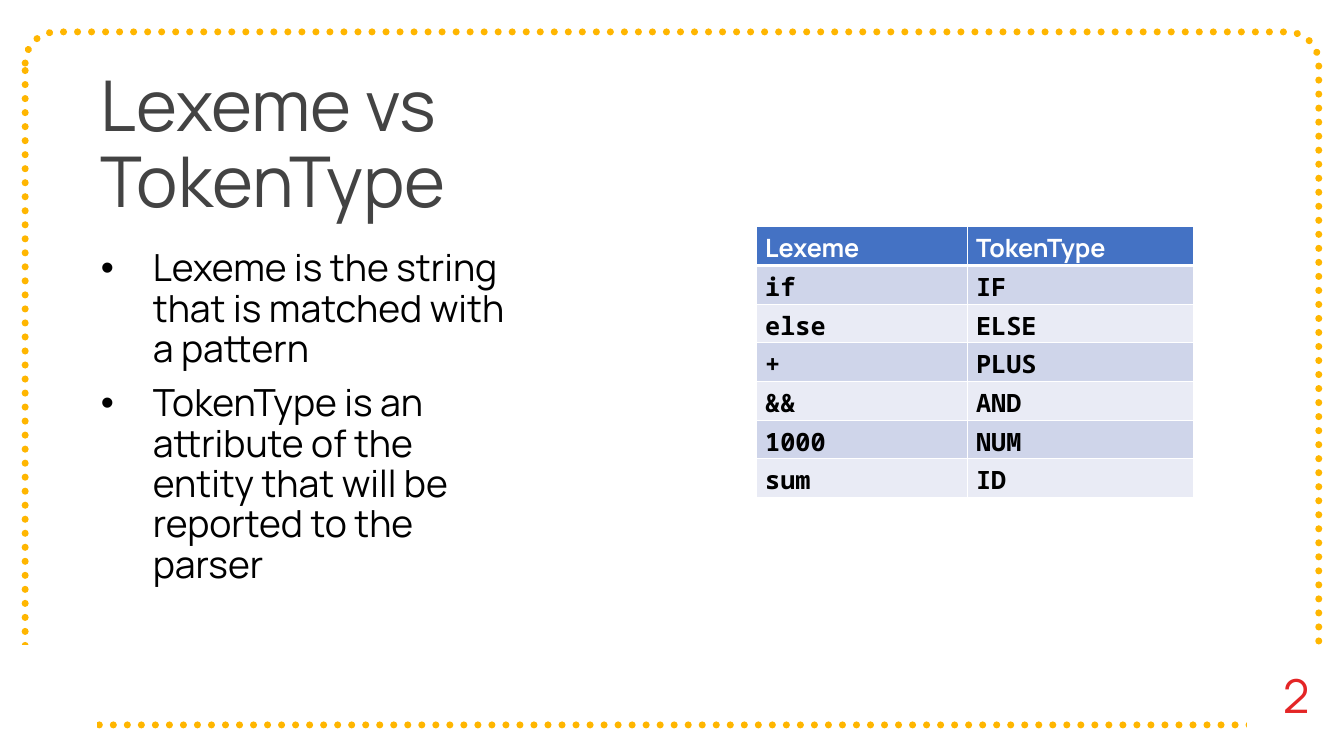
from dataclasses import dataclass

from lxml import etree
from pptx import Presentation
from pptx import util as u
from pptx.dml.color import RGBColor
from pptx.enum import dml, shapes, text
from pptx.oxml import ns


@dataclass(frozen=True)
class Theme:
    sans: str = "Manrope"
    mono: str = "Noto Sans Mono"
    title: str = "434343"
    ink: str = "000000"
    white: str = "FFFFFF"
    frame: str = "FFB600"
    number: str = "E42526"
    header: str = "4472C4"
    bands: tuple = ("CFD5EA", "E9EBF5")
    title_size: float = 60
    body_size: float = 32
    number_size: float = 40
    table_size: float = 21.6


THEME = Theme()
WIDTH, HEIGHT = 16, 9
TOKENS = [
    ("Lexeme", "TokenType"),
    ("if", "IF"),
    ("else", "ELSE"),
    ("+", "PLUS"),
    ("&&", "AND"),
    ("1000", "NUM"),
    ("sum", "ID"),
]
POINTS = [
    "Lexeme is the string that is matched with a pattern",
    "TokenType is an attribute of the entity that will be reported to the parser",
]


def color(value):
    return RGBColor.from_string(value)


def place(shape, box):
    shape.left, shape.top, shape.width, shape.height = map(u.Inches, box)


def style(paragraph, size, ink, font=THEME.sans, bold=False):
    for run in paragraph.runs:
        run.font.name = font
        run.font.size = u.Pt(size)
        run.font.bold = bold
        run.font.color.rgb = color(ink)


def add_box(slide, kind, box, line, weight, fill=None):
    shape = slide.shapes.add_shape(kind, *map(u.Inches, box))
    shape.shadow.inherit = False
    if fill:
        shape.fill.solid()
        shape.fill.fore_color.rgb = color(fill)
    else:
        shape.fill.background()
    shape.line.color.rgb = color(line)
    shape.line.width = u.Pt(weight)
    return shape


def add_frame(slide, box):
    left, top, width, height = box
    kinds = shapes.MSO_SHAPE
    outline = add_box(slide, kinds.ROUNDED_RECTANGLE, box, THEME.frame, 6)
    outline.adjustments[0] = 0.045
    outline.line.dash_style = dml.MSO_LINE.ROUND_DOT
    outline.element.spPr.find(ns.qn("a:ln")).set("cap", "rnd")
    gap_width, gap_height = 1.1, 1.16
    gap_top = top + height - 0.95
    for gap_left in (left + width - 0.85, left - 0.25):
        gap = (gap_left, gap_top, gap_width, gap_height)
        add_box(slide, kinds.RECTANGLE, gap, THEME.white, 1, THEME.white)


def add_number(slide, box, number):
    frame = slide.shapes.add_textbox(*map(u.Inches, box)).text_frame
    frame.word_wrap = True
    frame.vertical_anchor = text.MSO_ANCHOR.MIDDLE
    frame.margin_top = frame.margin_bottom = u.Inches(0.1)
    frame.text = number
    paragraph = frame.paragraphs[0]
    paragraph.alignment = text.PP_ALIGN.CENTER
    style(paragraph, THEME.number_size, THEME.number)


def fill_title(shape, box, title):
    place(shape, box)
    frame = shape.text_frame
    frame.text = title
    frame.auto_size = text.MSO_AUTO_SIZE.NONE
    frame.vertical_anchor = text.MSO_ANCHOR.BOTTOM
    paragraph = frame.paragraphs[0]
    paragraph.alignment = text.PP_ALIGN.LEFT
    paragraph.line_spacing = 0.9
    style(paragraph, THEME.title_size, THEME.title)


def fill_points(shape, box, points):
    place(shape, box)
    frame = shape.text_frame
    frame.text = "\n".join(points)
    frame.auto_size = text.MSO_AUTO_SIZE.NONE
    indent = u.Inches(0.62)
    for paragraph in frame.paragraphs:
        paragraph.line_spacing = 0.9
        paragraph.space_before = u.Pt(12)
        style(paragraph, THEME.body_size, THEME.ink)
        properties = paragraph._p.get_or_add_pPr()
        properties.set("marL", str(indent))
        properties.set("indent", str(-indent))
        etree.SubElement(properties, ns.qn("a:buChar"), char="•")


def add_borders(cell, weights):
    properties = cell._tc.get_or_add_tcPr()
    for side, weight in weights.items():
        line = etree.SubElement(properties, ns.qn(f"a:ln{side}"), w=str(u.Pt(weight)))
        fill = etree.SubElement(line, ns.qn("a:solidFill"))
        etree.SubElement(fill, ns.qn("a:srgbClr"), val=THEME.white)


def add_tokens(slide, box, rows, column_widths):
    table = slide.shapes.add_table(
        len(rows), len(column_widths), *map(u.Inches, box)
    ).table
    for column, width in zip(table.columns, column_widths):
        column.width = u.Inches(width)
    for row_index, values in enumerate(rows):
        is_header = row_index == 0
        weights = {"L": 1, "R": 1, "T": 3 if row_index == 1 else 1, "B": 3 if is_header else 1}
        for column_index, value in enumerate(values):
            cell = table.cell(row_index, column_index)
            add_borders(cell, weights)
            cell.fill.solid()
            band = THEME.header if is_header else THEME.bands[(row_index - 1) % 2]
            cell.fill.fore_color.rgb = color(band)
            cell.text_frame.text = value
            ink = THEME.white if is_header else THEME.ink
            font = THEME.sans if is_header else THEME.mono
            style(cell.text_frame.paragraphs[0], THEME.table_size, ink, font, True)


def main():
    presentation = Presentation()
    presentation.slide_width = u.Inches(WIDTH)
    presentation.slide_height = u.Inches(HEIGHT)
    slide = presentation.slides.add_slide(presentation.slide_layouts[1])
    left, width = 1.1, 5.16
    add_frame(slide, (0.3, 0.38, WIDTH - 0.6, 8.25))
    add_number(slide, (14.79, 7.6, 1.28, 1.34), "2")
    fill_title(slide.shapes.title, (left, 0.6, width, 2.1), "Lexeme vs TokenType")
    add_tokens(slide, (9.01, 2.7, 5.2, 3.22), TOKENS, (2.51, 2.69))
    fill_points(slide.placeholders[1], (left, 2.92, width, 4.78), POINTS)
    presentation.save("out.pptx")


if __name__ == "__main__":
    main()
